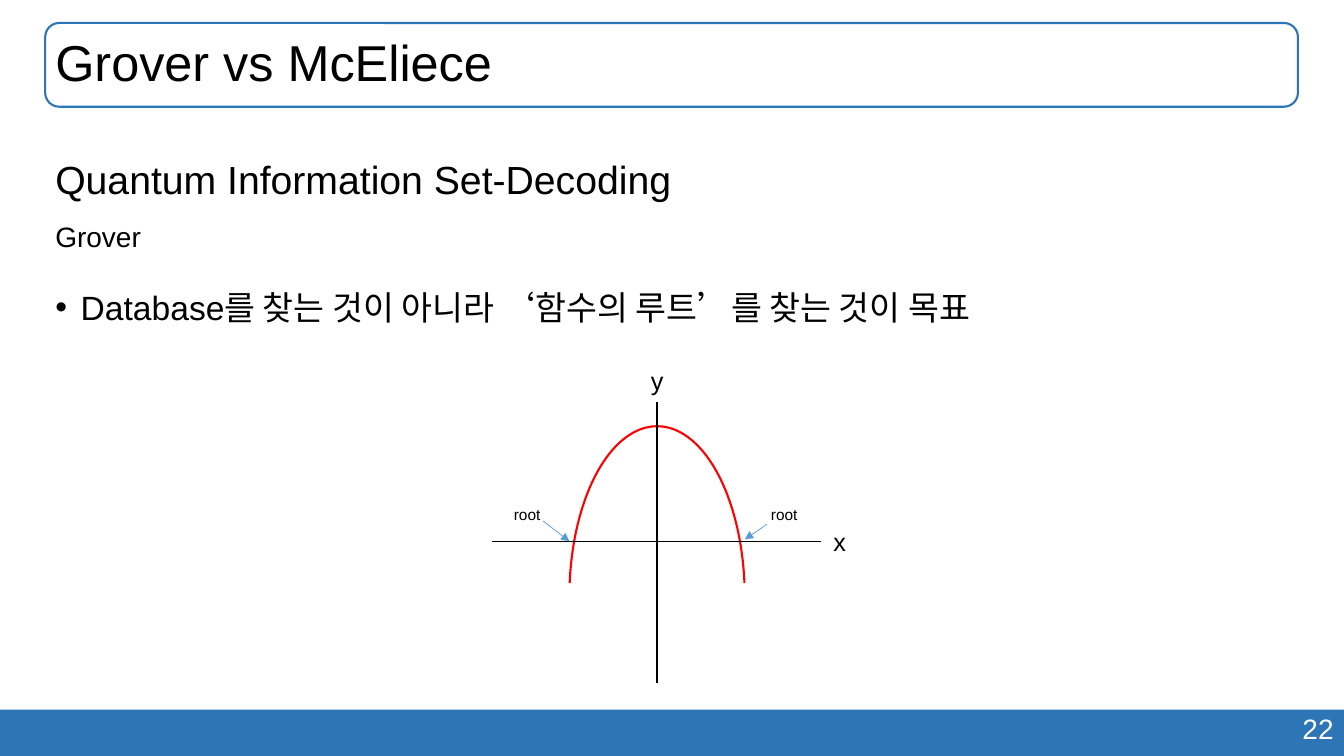
from lxml import etree
from pptx import Presentation
from pptx import util as u
from pptx.dml.color import RGBColor
from pptx.enum import shapes as kinds, text as txt
from pptx.oxml import ns

Cm, Pt = u.Cm, u.Pt
hues = {"bar": "2E75B6", "ink": "000000", "page": "FFFFFF",
        "curve": "FF0000", "arrow": "5B9BD5"}


def style(para, size, hue="ink", align=txt.PP_ALIGN.LEFT):
    para.alignment = align
    para.font.name = "Arial"
    para.font.size = Pt(size)
    para.font.color.rgb = RGBColor.from_string(hues[hue])


def label(words, box, size, align, hue="ink", wrap=True):
    frame = slide.shapes.add_textbox(*map(Cm, box)).text_frame
    frame.word_wrap = wrap
    para = frame.paragraphs[0]
    para.text = words
    style(para, size, hue, align)


deck = Presentation()
deck.slide_width, deck.slide_height = Cm(33.87), Cm(19.05)
slide = deck.slides.add_slide(deck.slide_layouts[1])
left, center, right = txt.PP_ALIGN.LEFT, txt.PP_ALIGN.CENTER, txt.PP_ALIGN.RIGHT

bar = slide.shapes.add_shape(
    kinds.MSO_SHAPE.RECTANGLE, 0, Cm(17.88), deck.slide_width, Cm(1.17))
bar.shadow.inherit = False
bar.fill.solid()
bar.fill.fore_color.rgb = RGBColor.from_string(hues["bar"])
bar.line.fill.background()
label("22", (23.95, 17.81, 9.91, 1.12), 20, right, "page")

outlines = [
    (kinds.MSO_SHAPE.ROUNDED_RECTANGLE, (1.14, 0.58, 31.57, 2.11), "bar", ()),
    (kinds.MSO_SHAPE.ARC, (14.35, 10.74, 4.42, 8.61), "curve", (113.46, 210.53)),
]
for kind, box, hue, turns in outlines:
    shape = slide.shapes.add_shape(kind, *map(Cm, box))
    shape.shadow.inherit = False
    shape.fill.background()
    shape.line.color.rgb = RGBColor.from_string(hues[hue])
    shape.line.width = Pt(1.5)
    for i, turn in enumerate(turns):
        shape.adjustments[i] = turn

title = slide.shapes.title
title.left, title.top, title.width, title.height = map(Cm, (1.14, 0.58, 31.57, 2.11))
title.text = "Grover vs McEliece"
title.text_frame.auto_size = txt.MSO_AUTO_SIZE.NONE
title.text_frame.vertical_anchor = txt.MSO_ANCHOR.MIDDLE
head = title.text_frame.paragraphs[0]
head.line_spacing = 0.9
style(head, 36)

body = slide.placeholders[1]
body.left, body.top, body.width, body.height = map(Cm, (1.14, 3.2, 31.57, 14.05))
frame = body.text_frame
frame.auto_size = txt.MSO_AUTO_SIZE.NONE
frame.text = "Quantum Information Set-Decoding\vGrover\nDatabase를 찾는 것이 아니라 ‘함수의 루트’를 찾는 것이 목표"
rules = [(28, 0, 0, "buNone", {}), (24, 10, 0.64, "buChar", {"char": "•"})]
for para, (size, gap, dent, tag, attrs) in zip(frame.paragraphs, rules):
    para.line_spacing = 1.5
    para.space_before = Pt(gap)
    props = para._p.get_or_add_pPr()
    props.set("marL", str(Cm(dent)))
    props.set("indent", str(-Cm(dent)))
    etree.SubElement(props, ns.qn("a:" + tag), attrs)
    style(para, size)
frame.paragraphs[0].runs[1].font.size = Pt(20)

lines = [
    ((16.56, 10.13, 16.56, 17.2), "ink", 1),
    ((12.4, 13.64, 20.7, 13.64), "ink", 1),
    ((13.69, 13.13, 14.35, 13.64), "arrow", 0.5),
    ((19.33, 13.21, 18.77, 13.59), "arrow", 0.5),
]
for ends, hue, width in lines:
    line = slide.shapes.add_connector(kinds.MSO_CONNECTOR.STRAIGHT, *map(Cm, ends))
    line.line.color.rgb = RGBColor.from_string(hues[hue])
    line.line.width = Pt(width)
    if hue == "arrow":
        etree.SubElement(line.line._get_or_add_ln(), ns.qn("a:tailEnd"), type="triangle")
    etree.SubElement(line._element.spPr, ns.qn("a:effectLst"))

label("x", (20.75, 13.13, 0.74, 1.02), 18, center)
label("y", (16.03, 9.07, 1.07, 1.02), 18, center)
for x in (12.7, 19.18):
    label("root", (x, 12.6, 1.19, 0.74), 11, left, wrap=False)

deck.save("out.pptx")
